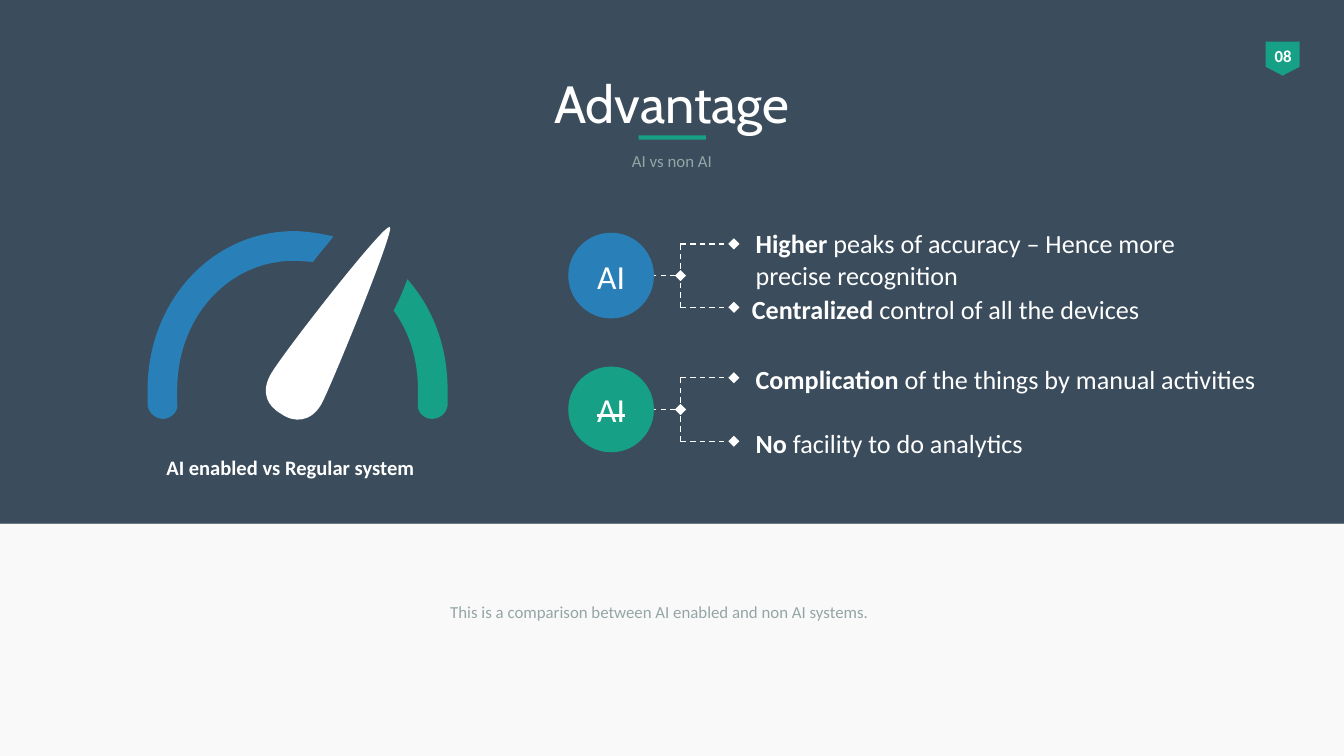
"""Build the "Advantage" slide comparing AI and non-AI systems."""
from dataclasses import dataclass
from typing import NamedTuple

from lxml.etree import SubElement
from pptx import Presentation
from pptx.dml.color import RGBColor as Rgb
from pptx.enum.dml import MSO_LINE_DASH_STYLE as Dash
from pptx.enum.shapes import MSO_CONNECTOR as Link, MSO_SHAPE as Preset
from pptx.enum.text import MSO_ANCHOR as Anchor, PP_ALIGN as Align
from pptx.oxml.ns import qn
from pptx.util import Cm, Pt


@dataclass(frozen=True)
class Theme:
    paper: str = "F9F9F9"
    grey: str = "95A5A6"
    navy: str = "2C3E50"
    green: str = "16A085"
    blue: str = "2980B9"
    white: str = "FFFFFF"
    heading_font: str = "Cabin"
    body_font: str = "Calibri"
    title: int = 28
    label: int = 18
    point: int = 14
    caption: int = 11
    small: int = 9


THEME = Theme()


class Frame(NamedTuple):
    left: float
    top: float
    width: float
    height: float


class Span(NamedTuple):
    text: str
    bold: bool = False
    strike: bool = False


class Note(NamedTuple):
    frame: Frame
    spans: list
    size: int
    color: str = THEME.white
    font: str = THEME.body_font
    align: Align = Align.LEFT
    anchor: Anchor = Anchor.TOP
    wrap: bool = True
    spacing: float = 1.0


class Topic(NamedTuple):
    middle: float
    color: str
    strike: bool


class Outline(NamedTuple):
    color: str
    start: tuple
    curves: list


SPINE, TIP, STUB, HUB, REACH, DIAMETER = 12.86, 13.87, 11.84, 11.55, 0.6, 1.62
BANNER = Frame(0, 0, 25.4, 9.9)
TOPICS = [Topic(7.74, THEME.green, True), Topic(5.21, THEME.blue, False)]


def point(frame: Frame, strong: str, rest: str, wrap: bool = True) -> Note:
    return Note(frame, [Span(strong, True), Span(rest)], THEME.point, wrap=wrap)


NOTES = [
    Note(Frame(23.83, 0.74, 0.84, 0.64), [Span("08", True)], THEME.small,
         align=Align.CENTER, wrap=False),
    Note(Frame(1.27, 1.22, 22.86, 1.45), [Span("Advantage")], THEME.title,
         font=THEME.heading_font, align=Align.CENTER, anchor=Anchor.MIDDLE),
    Note(Frame(1.27, 2.72, 22.86, 0.64), [Span("AI vs non AI")], THEME.small,
         THEME.grey, align=Align.CENTER),
    point(Frame(14.03, 7.95, 5.84, 0.86), "No ", "facility to do analytics", False),
    point(Frame(14.03, 6.74, 10.95, 0.86), "Complication",
          " of the things by manual activities"),
    point(Frame(14.03, 4.18, 9.88, 1.45), "Higher ",
          "peaks of accuracy – Hence more precise recognition"),
    Note(Frame(8.26, 11.05, 22.02, 2.26),
         [Span("This is a comparison between AI enabled and non AI systems.")],
         THEME.small, THEME.grey, spacing=1.5),
    Note(Frame(2.52, 8.48, 5.94, 0.74), [Span("AI enabled vs Regular system", True)],
         THEME.caption, align=Align.CENTER),
    point(Frame(13.96, 5.42, 9.88, 0.86), "Centralized ", "control of all the devices"),
]

GAUGE = [
    Outline(THEME.green, (7.7, 5.28), [
        (7.62, 5.49, 7.54, 5.69, 7.44, 5.87), (7.75, 6.3, 7.9, 6.81, 7.9, 7.37),
        (7.9, 7.44, 7.9, 7.54, 7.9, 7.62), (7.87, 7.77, 8, 7.92, 8.17, 7.92),
        (8.31, 7.92, 8.43, 7.82, 8.46, 7.67), (8.46, 7.57, 8.46, 7.47, 8.46, 7.37),
        (8.46, 6.55, 8.18, 5.82, 7.7, 5.28)]),
    Outline(THEME.white, (5.11, 7.09), [
        (4.93, 7.42, 5.05, 7.67, 5.31, 7.82), (5.56, 8, 5.87, 7.98, 6.07, 7.65),
        (6.25, 7.32, 7.47, 4.34, 7.37, 4.29), (7.26, 4.22, 5.28, 6.76, 5.11, 7.09)]),
    Outline(THEME.blue, (5.56, 4.93), [
        (5.69, 4.93, 5.79, 4.95, 5.92, 4.95), (6.02, 4.8, 6.17, 4.65, 6.3, 4.47),
        (6.07, 4.42, 5.82, 4.37, 5.56, 4.37), (4.01, 4.37, 2.79, 5.69, 2.79, 7.37),
        (2.79, 7.47, 2.79, 7.57, 2.79, 7.67), (2.82, 7.82, 2.95, 7.92, 3.1, 7.92),
        (3.25, 7.9, 3.38, 7.77, 3.35, 7.62), (3.35, 7.54, 3.35, 7.44, 3.35, 7.37),
        (3.35, 5.99, 4.32, 4.93, 5.56, 4.93)]),
]


def paint(shape, color: str) -> None:
    shape.shadow.inherit = False
    shape.fill.solid()
    shape.fill.fore_color.rgb = Rgb.from_string(color)
    shape.line.fill.background()


def draw_shape(page, preset: Preset, frame: Frame, color: str):
    shape = page.shapes.add_shape(preset, *map(Cm, frame))
    paint(shape, color)
    return shape


def write(shape, note: Note) -> None:
    box = shape.text_frame
    box.word_wrap = note.wrap
    box.vertical_anchor = note.anchor
    para = box.paragraphs[0]
    para.alignment = note.align
    para.line_spacing = note.spacing
    for span in note.spans:
        run = para.add_run()
        run.text = span.text
        values = {"name": note.font, "size": Pt(note.size), "bold": span.bold}
        for name, value in values.items():
            setattr(run.font, name, value)
        run.font.color.rgb = Rgb.from_string(note.color)
        if span.strike:
            run.font._element.set("strike", "sngStrike")


def draw_note(page, note: Note) -> None:
    write(page.shapes.add_textbox(*map(Cm, note.frame)), note)


def draw_dashes(page, start: tuple, end: tuple, ends: tuple = ()) -> None:
    link = page.shapes.add_connector(Link.STRAIGHT, *map(Cm, start + end))
    link.line.color.rgb = Rgb.from_string(THEME.white)
    for name, value in {"width": Pt(0.75), "dash_style": Dash.DASH}.items():
        setattr(link.line, name, value)
    properties = link._element.spPr
    for tag in ends:
        SubElement(properties.find(qn("a:ln")), qn(tag), type="diamond")
    SubElement(properties, qn("a:effectLst"))


def draw_topic(page, topic: Topic) -> None:
    upper, lower = topic.middle - REACH, topic.middle + REACH
    draw_dashes(page, (SPINE, lower), (SPINE, upper))
    draw_dashes(page, (SPINE, topic.middle), (STUB, topic.middle), ("a:headEnd", "a:tailEnd"))
    for level in (upper, lower):
        draw_dashes(page, (SPINE, level), (TIP, level), ("a:tailEnd",))
    frame = Frame(HUB - DIAMETER / 2, topic.middle - DIAMETER / 2, DIAMETER, DIAMETER)
    circle = draw_shape(page, Preset.OVAL, frame, topic.color)
    write(circle, Note(frame, [Span("AI", strike=topic.strike)], THEME.label,
                       align=Align.CENTER, anchor=Anchor.MIDDLE))


def draw_outline(page, outline: Outline) -> None:
    knots = [tuple(map(Cm, curve[i:i + 2])) for curve in outline.curves for i in (0, 2, 4)]
    builder = page.shapes.build_freeform(*map(Cm, outline.start))
    builder.add_line_segments(knots, close=True)
    shape = builder.convert_to_shape()
    paint(shape, outline.color)
    lines = list(shape._element.iter(qn("a:lnTo")))
    for first in range(0, len(lines), 3):
        bend = lines[first].makeelement(qn("a:cubicBezTo"))
        lines[first].addprevious(bend)
        for line in lines[first:first + 3]:
            bend.append(line[0])
            line.getparent().remove(line)


def main() -> None:
    deck = Presentation()
    deck.slide_width, deck.slide_height = Cm(25.4), Cm(14.29)
    page = deck.slides.add_slide(deck.slide_layouts[6])
    page.background.fill.solid()
    page.background.fill.fore_color.rgb = Rgb.from_string(THEME.paper)
    draw_shape(page, Preset.RECTANGLE, BANNER, THEME.grey)
    veil = draw_shape(page, Preset.RECTANGLE, BANNER, THEME.navy)
    tint = veil._element.spPr.find(qn("a:solidFill"))[0]
    SubElement(tint, qn("a:alpha"), val="85000")
    badge = draw_shape(page, Preset.PENTAGON, Frame(23.92, 0.79, 0.64, 0.64), THEME.green)
    badge.rotation, badge.adjustments[0] = 90, 0.26
    draw_shape(page, Preset.RECTANGLE, Frame(12.07, 2.56, 1.27, 0.08), THEME.green)
    for draw, items in ((draw_topic, TOPICS), (draw_outline, GAUGE), (draw_note, NOTES)):
        for item in items:
            draw(page, item)
    deck.save("out.pptx")


if __name__ == "__main__":
    main()
